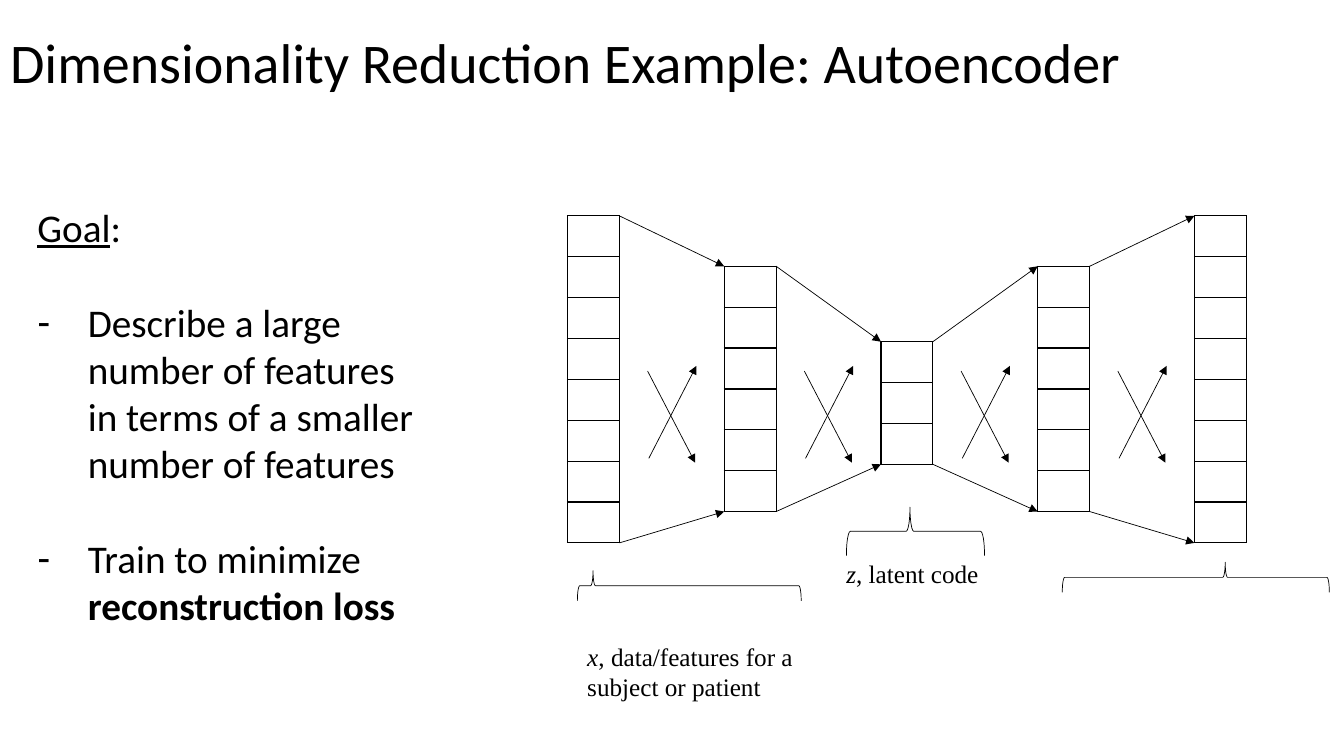
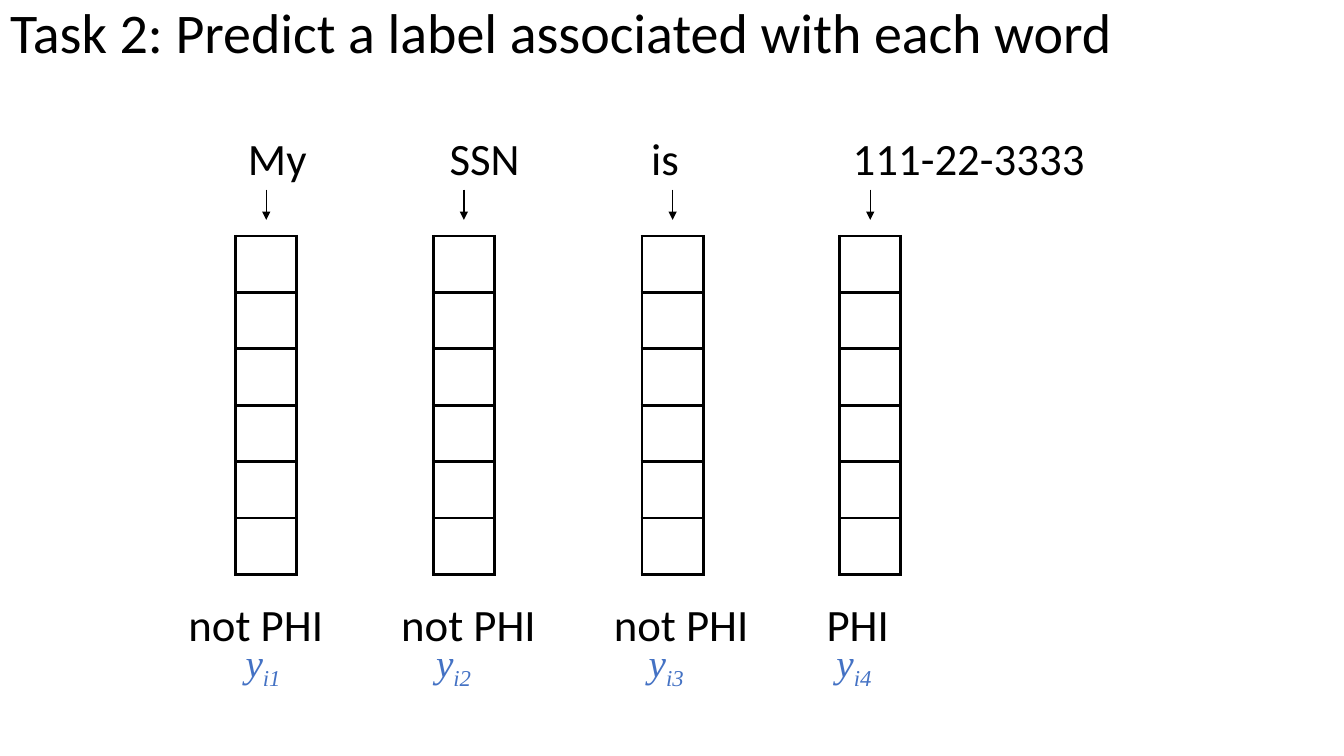
from itertools import pairwise

from lxml.etree import SubElement
from pptx import Presentation
from pptx.dml.color import RGBColor
from pptx.enum.shapes import MSO_CONNECTOR, MSO_SHAPE
from pptx.enum.text import MSO_ANCHOR, MSO_AUTO_SIZE, PP_ALIGN
from pptx.oxml import parse_xml
from pptx.oxml.ns import nsdecls, qn
from pptx.util import Cm, Pt

BLACK = RGBColor(0x00, 0x00, 0x00)
BLUE = RGBColor(0x44, 0x72, 0xC4)
SANS = "Calibri"
SERIF = "Times New Roman"
WIDE, HIGH = 33.87, 19.05


def write(par, text, size=28, font=SANS, color=BLACK, bold=False,
          italic=False, under=False, base=0):
    """Add one formatted run to a paragraph."""
    run = par.add_run()
    run.text = text
    style = run.font
    style.size, style.name, style.color.rgb = Pt(size), font, color
    style.bold, style.italic, style.underline = bold, italic, under
    if base:
        run._r.get_or_add_rPr().set("baseline", str(base * 1000))


class Deck:
    """Shared style and the slide being built."""

    def __init__(self):
        self.prs = Presentation()
        self.prs.slide_width, self.prs.slide_height = Cm(WIDE), Cm(HIGH)
        self.slide = None

    def place(self, shape, x, y, w, h):
        shape.left, shape.top = Cm(x), Cm(y)
        shape.width, shape.height = Cm(w), Cm(h)
        frame = shape.text_frame
        frame.word_wrap = True
        frame.auto_size = MSO_AUTO_SIZE.NONE
        frame.vertical_anchor = MSO_ANCHOR.TOP
        return frame

    def start(self, title, layout, top):
        self.slide = self.prs.slides.add_slide(self.prs.slide_layouts[layout])
        frame = self.place(self.slide.shapes.title, 0, top, WIDE, 3.18)
        par = frame.paragraphs[0]
        par.alignment, par.line_spacing = PP_ALIGN.LEFT, 0.9
        write(par, title, size=40)

    def body(self, items, x, y, w, h, gap):
        """Fill the body placeholder; items are (dashed, runs)."""
        frame = self.place(self.slide.placeholders[1], x, y, w, h)
        for i, (dash, runs) in enumerate(items):
            par = frame.add_paragraph() if i else frame.paragraphs[0]
            par.space_before = Pt(gap if i else 0)
            props = par._p.get_or_add_pPr()
            hang = Cm(1.27) if dash else 0
            props.set("marL", str(hang))
            props.set("indent", str(-hang))
            if dash:
                SubElement(props, qn("a:buFontTx"))
                SubElement(props, qn("a:buChar")).set("char", "-")
            else:
                SubElement(props, qn("a:buNone"))
            for text, style in runs:
                write(par, text, **style)

    def text(self, runs, x, y, w, h, **style):
        """Text box; runs are (text, own format)."""
        box = self.slide.shapes.add_textbox(0, 0, 0, 0)
        par = self.place(box, x, y, w, h).paragraphs[0]
        for words, own in runs:
            write(par, words, **(style | own))

    def stack(self, x, y, w, row, count, line):
        """One-column table of empty bordered cells."""
        grid = self.slide.shapes.add_table(
            count, 1, Cm(x), Cm(y), Cm(w), Cm(row * count)).table
        grid.first_row = grid.horz_banding = False
        for cell in grid.iter_cells():
            cell.margin_top = cell.margin_bottom = 0
            cell.fill.background()
            props = cell._tc.get_or_add_tcPr()
            for i, side in enumerate("LRTB"):
                props.insert(i, parse_xml(
                    f'<a:ln{side} {nsdecls("a")} w="{Pt(line)}"><a:solidFill>'
                    f'<a:srgbClr val="{BLACK}"/></a:solidFill></a:ln{side}>'))

    def arrow(self, x1, y1, x2, y2, line=0.5):
        link = self.slide.shapes.add_connector(
            MSO_CONNECTOR.STRAIGHT, Cm(x1), Cm(y1), Cm(x2), Cm(y2))
        link.line.color.rgb, link.line.width = BLACK, Pt(line)
        SubElement(link.line._get_or_add_ln(),
                   qn("a:tailEnd")).set("type", "triangle")
        SubElement(link._element.spPr, qn("a:effectLst"))

    def brace(self, x, y, w, h, tip):
        """Brace opening down over w by h; tip is a share from the right."""
        left, top = x + (w - h) / 2, y + (h - w) / 2
        mark = self.slide.shapes.add_shape(
            MSO_SHAPE.LEFT_BRACE, Cm(left), Cm(top), Cm(h), Cm(w))
        mark.rotation = 90
        mark.adjustments[0], mark.adjustments[1] = 0.08, tip
        mark.shadow.inherit = False
        mark.fill.background()
        mark.line.color.rgb, mark.line.width = BLACK, Pt(0.5)


def coder(deck):
    deck.start("Dimensionality Reduction Example: Autoencoder", 1, 0.76)
    deck.body([
        (False, [("Goal", {"under": True}), (":", {})]),
        (True, [("Describe a large number of features in terms of "
                 "a smaller number of features", {})]),
        (True, [("Train to minimize ", {}),
                ("reconstruction loss", {"bold": True})]),
    ], 0.69, 5, 10.31, 11.02, gap=34)

    # Layers: left, top, bottom
    step, wide, row = 3.95, 1.31, 1.03
    tops = {8: 5.44, 6: 6.71, 3: 8.61}
    layers = []
    for i, count in enumerate((8, 6, 3, 6, 8)):
        x, y = 14.3 + i * step, tops[count]
        deck.stack(x, y, wide, row, count, line=1)
        layers.append((x, y, y + row * count))

    # Edges and crossing weights between layers
    for (x1, *ends1), (x2, *ends2) in pairwise(layers):
        for y1, y2 in zip(ends1, ends2):
            deck.arrow(x1 + wide, y1, x2, y2)
        mid = x1 + 2.02
        deck.arrow(mid + 0.03, 11.55, mid + 1.23, 9.22)
        deck.arrow(mid, 9.35, mid + 1.2, 11.66)

    # Braces and captions
    deck.brace(14.55, 14.38, 5.64, 0.76, tip=0.93)
    deck.brace(26.77, 14.17, 6.73, 0.76, tip=0.39)
    deck.brace(21.33, 12.78, 3.48, 1.22, tip=0.54)
    for sign, rest, x, y, h in (
            ("x", ", data/features for a subject or patient", 14.55, 16.03, 1.8),
            ("z", ", latent code", 21.08, 13.94, 1.02)):
        deck.text([(sign, {"italic": True}), (rest, {})],
                  x, y, 5.89, h, size=18, font=SERIF)


def labels(deck):
    deck.start("Task 2: Predict a label associated with each word", 5, 0)
    # Word, label, left of the word vector, left of the symbol
    cols = (("My", "not PHI", 5.94, 5.94),
            ("SSN", "not PHI", 10.92, 10.74),
            ("is", "not PHI", 16.18, 16.1),
            ("111-22-3333", "PHI", 21.16, 20.83))
    wide = 1.54
    for i, (word, label, x, sign) in enumerate(cols):
        deck.text([(word, {})], 6 + i * 5.08, 3.18, 7, 1.62, size=32)
        deck.arrow(x + wide / 2, 4.78, x + wide / 2, 5.54, line=1)
        deck.stack(x, 5.95, wide, 1.42, 6, line=2.25)
        deck.text([(label, {})], 4.5 + i * 5.36, 14.9, 5, 1.62, size=32)
        deck.text([("y", {}), (f"i{i + 1}", {"base": -25})],
                  sign, 15.95, 1.75, 1.45,
                  font=SERIF, color=BLUE, italic=True)


def main():
    deck = Deck()
    coder(deck)
    labels(deck)
    deck.prs.save("out.pptx")


if __name__ == "__main__":
    main()
